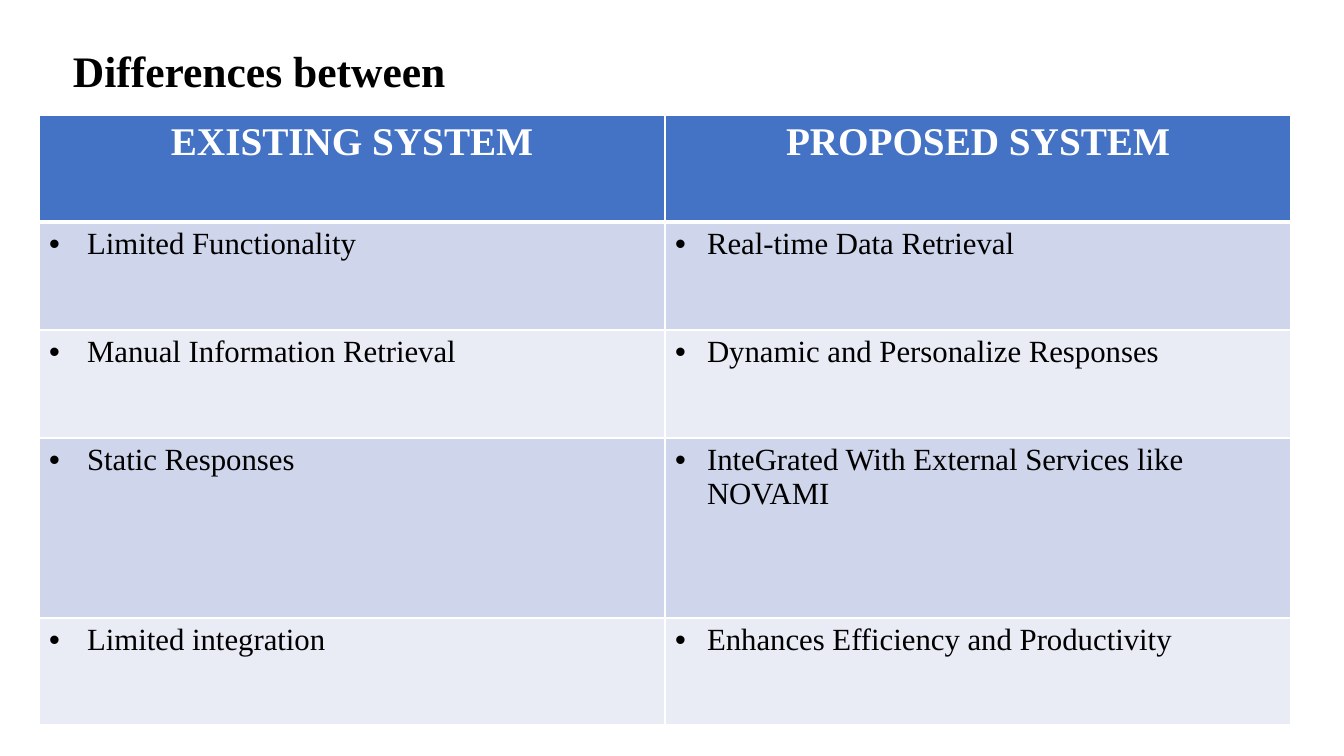
import dataclasses

import lxml.etree
import pptx
import pptx.dml.color
import pptx.enum.text
import pptx.oxml
import pptx.oxml.ns
import pptx.slide
import pptx.table
import pptx.text.text
import pptx.util

SCALE = 914400 / 100.8
FONT = "Times New Roman"
WHITE, BLACK, BLUE = "FFFFFF", "000000", "4472C4"
BANDS = ("CFD5EA", "E9EBF5")
ALIGN = pptx.enum.text.PP_ALIGN


@dataclasses.dataclass(frozen=True)
class Column:
    """A table column with its heading, bullet indent and items."""
    head: str
    indent: int
    items: tuple[str, ...]


COLUMNS = (
    Column("EXISTING SYSTEM", 38, (
        "Limited Functionality",
        "Manual Information Retrieval",
        "Static Responses",
        "Limited integration",
    )),
    Column("PROPOSED SYSTEM", 32, (
        "Real-time Data Retrieval",
        "Dynamic and Personalize Responses",
        "InteGrated With External Services like NOVAMI",
        "Enhances Efficiency and Productivity",
    )),
)
HEIGHTS = (107, 108, 108, 180, 107)
WIDTH = 626


def px(size: int) -> pptx.util.Emu:
    """Turn px into EMU."""
    return pptx.util.Emu(round(size * SCALE))


def color(code: str) -> pptx.dml.color.RGBColor:
    """Turn a hex string into a colour."""
    return pptx.dml.color.RGBColor.from_string(code)


def child(parent: lxml.etree._Element, tag: str, **attrs: str) -> lxml.etree._Element:
    """Append a drawing element to its parent."""
    node = lxml.etree.SubElement(parent, pptx.oxml.ns.qn(tag))
    for key, value in attrs.items():
        node.set(key, value)
    return node


def write(frame: pptx.text.text.TextFrame, text: str, *, size: float,
          ink: str = BLACK, bold: bool = False, align: ALIGN = ALIGN.LEFT,
          indent: int = 0, spacing: float | None = None) -> None:
    """Write one paragraph, with a bullet if it is indented."""
    para = frame.paragraphs[0]
    para.alignment = align
    para.line_spacing = spacing
    if indent:
        props = para._p.get_or_add_pPr()
        props.set("marL", str(px(indent)))
        props.set("indent", str(-px(indent)))
        child(props, "a:buFont", typeface="Arial")
        child(props, "a:buChar", char="•")
    run = para.add_run()
    run.text = text
    run.font.name = FONT
    run.font.size = pptx.util.Pt(size)
    run.font.bold = bold
    run.font.color.rgb = color(ink)


def paint(cell: pptx.table._Cell, fill: str, top: int = 1, bottom: int = 1) -> None:
    """Give a cell white borders and a plain fill."""
    props = cell._tc.get_or_add_tcPr()
    for side, width in zip("LRTB", (1, 1, top, bottom)):
        line = child(props, f"a:ln{side}", w=str(pptx.util.Pt(width)))
        child(child(line, "a:solidFill"), "a:srgbClr", val=WHITE)
    cell.fill.solid()
    cell.fill.fore_color.rgb = color(fill)


def add_title(slide: pptx.slide.Slide) -> None:
    """Add the slide heading."""
    box = slide.shapes.add_textbox(px(63), px(0), px(1159), px(146))
    frame = box.text_frame
    frame.word_wrap = True
    frame.vertical_anchor = pptx.enum.text.MSO_ANCHOR.MIDDLE
    write(frame, "Differences between", size=31.1, bold=True, spacing=0.9)


def add_grid(slide: pptx.slide.Slide) -> None:
    """Add the comparison table."""
    table = slide.shapes.add_table(
        len(HEIGHTS), len(COLUMNS), px(39), px(115),
        px(WIDTH * len(COLUMNS)), px(sum(HEIGHTS))).table
    for row, height in zip(table.rows, HEIGHTS):
        row.height = px(height)
    for col, column in enumerate(COLUMNS):
        table.columns[col].width = px(WIDTH)
        head = table.cell(0, col)
        paint(head, BLUE, bottom=3)
        write(head.text_frame, column.head, size=28, ink=WHITE, bold=True,
              align=ALIGN.CENTER)
        for row, item in enumerate(column.items, 1):
            cell = table.cell(row, col)
            paint(cell, BANDS[(row - 1) % 2], top=3 if row == 1 else 1)
            write(cell.text_frame, item, size=22, indent=column.indent)


def main() -> None:
    """Build and save the slide."""
    deck = pptx.Presentation()
    deck.slide_width, deck.slide_height = px(1344), px(756)
    slide = deck.slides.add_slide(deck.slide_layouts[6])
    add_title(slide)
    add_grid(slide)
    deck.save("out.pptx")


if __name__ == "__main__":
    main()
